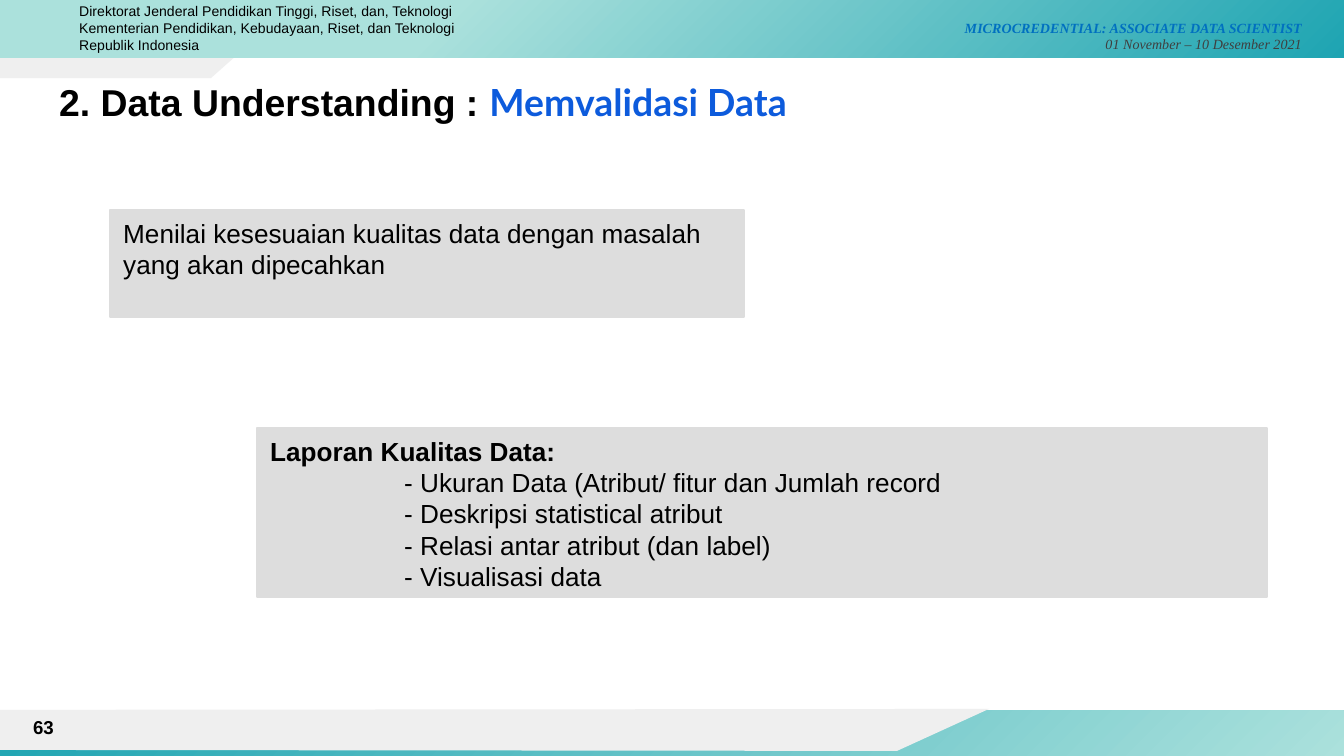
from dataclasses import dataclass

from pptx import Presentation
from pptx.dml.color import RGBColor
from pptx.enum.shapes import MSO_SHAPE as Shape
from pptx.enum.text import MSO_ANCHOR as Anchor, PP_ALIGN as Align
from pptx.util import Pt

EMU_PER_PX = 914400 / 134.4
AQUA, TEAL = "ABE1DC", "1EA4B2"
PALE_GRAY, PANEL_GRAY = "EFEFEF", "DDDDDD"
BLACK = "000000"


@dataclass(frozen=True)
class Box:
    left: int
    top: int
    width: int
    height: int


@dataclass(frozen=True)
class Run:
    text: str
    size: float
    color: str = BLACK
    font: str = "Arial"
    bold: bool = False
    italic: bool = False


@dataclass(frozen=True)
class Line:
    runs: tuple[Run, ...]
    indent: int = 0


@dataclass(frozen=True)
class Band:
    box: Box
    stops: tuple[tuple[float, str], ...]


@dataclass(frozen=True)
class TextBlock:
    box: Box
    lines: tuple[Line, ...]
    align: Align = Align.LEFT
    anchor: Anchor = Anchor.TOP
    top_inset: int = 7
    fill: str | None = None


def px(value: int) -> int:
    return round(value * EMU_PER_PX)


def rgb(color: str) -> RGBColor:
    return RGBColor.from_string(color)


def place(box: Box) -> tuple[int, ...]:
    return tuple(px(value) for value in (box.left, box.top, box.width, box.height))


def draw_band(slide, band: Band) -> None:
    shape = slide.shapes.add_shape(Shape.RECTANGLE, *place(band.box))
    shape.shadow.inherit = False
    shape.line.fill.background()
    shape.fill.gradient()
    shape.fill.gradient_angle = 315
    for stop, (position, color) in zip(shape.fill.gradient_stops, band.stops):
        stop.position = position
        stop.color.rgb = rgb(color)


def draw_tab(slide, points: list[tuple[int, int]]) -> None:
    """Draw a pale gray slanted outline through the given points."""
    builder = slide.shapes.build_freeform(*points[0], scale=EMU_PER_PX)
    builder.add_line_segments(points[1:], close=True)
    shape = builder.convert_to_shape()
    shape.shadow.inherit = False
    shape.fill.solid()
    shape.fill.fore_color.rgb = rgb(PALE_GRAY)
    shape.line.fill.background()


def write_line(paragraph, line: Line, align: Align) -> None:
    paragraph.alignment = align
    if line.indent:
        paragraph._p.get_or_add_pPr().set("marL", str(px(line.indent)))
    for part in line.runs:
        run = paragraph.add_run()
        run.text = part.text
        font = run.font
        font.name, font.size = part.font, Pt(part.size)
        font.bold, font.italic = part.bold, part.italic
        font.color.rgb = rgb(part.color)


def draw_text(slide, block: TextBlock) -> None:
    if block.fill:
        shape = slide.shapes.add_shape(Shape.RECTANGLE, *place(block.box))
        shape.shadow.inherit = False
        shape.fill.solid()
        shape.fill.fore_color.rgb = rgb(block.fill)
        shape.line.color.rgb = rgb(block.fill)
        shape.line.width = Pt(0.75)
    else:
        shape = slide.shapes.add_textbox(*place(block.box))
    frame = shape.text_frame
    frame.word_wrap = True
    frame.vertical_anchor = block.anchor
    frame.margin_top = px(block.top_inset)
    for index, line in enumerate(block.lines):
        paragraph = frame.add_paragraph() if index else frame.paragraphs[0]
        write_line(paragraph, line, block.align)


FOOTER_BAND = Band(Box(0, 711, 1344, 45), ((0, TEAL), (1, AQUA)))
HEADER_BAND = Band(Box(0, 0, 1344, 58), ((0.33, AQUA), (1, TEAL)))
HEADER_TAB = [(246, 47), (0, 44), (0, 78), (211, 78)]
FOOTER_TAB = [(989, 709), (0, 710), (0, 750), (897, 751)]

MINISTRY = (
    "Direktorat Jenderal Pendidikan Tinggi, Riset, dan, Teknologi",
    "Kementerian Pendidikan, Kebudayaan, Riset, dan Teknologi Republik Indonesia",
)
REPORT_ITEMS = (
    "- Ukuran Data (Atribut/ fitur dan Jumlah record",
    "- Deskripsi statistical atribut",
    "- Relasi antar atribut (dan label)",
    "- Visualisasi data",
)
SERIF = "Times New Roman"

TEXT_BLOCKS = (
    TextBlock(Box(800, 7, 515, 52), (
        Line((Run("MICROCREDENTIAL: ASSOCIATE DATA SCIENTIST", 7.5, "0070C0", SERIF, True, True),)),
        Line((Run("01 November – 10 Desember 2021", 7.5, "3F3F3F", SERIF, italic=True),)),
    ), align=Align.RIGHT, top_inset=12),
    TextBlock(Box(66, -4, 448, 64), tuple(Line((Run(text, 7.5),)) for text in MINISTRY)),
    TextBlock(Box(46, 66, 1252, 83), (
        Line((Run("2. Data Understanding : ", 20, bold=True),
              Run("Memvalidasi Data", 20, "0D5BDC", "Lato", True))),
    ), top_inset=13),
    TextBlock(Box(110, 210, 634, 107), (
        Line((Run("Menilai kesesuaian kualitas data dengan masalah yang akan dipecahkan", 14),)),
    ), fill=PANEL_GRAY),
    TextBlock(Box(257, 428, 1010, 169), (
        Line((Run("Laporan Kualitas Data:", 14, bold=True),)),
        *(Line((Run(item, 14),), indent=134) for item in REPORT_ITEMS),
    ), fill=PANEL_GRAY),
    TextBlock(Box(0, 707, 67, 40), (Line((Run("63", 10, bold=True),)),),
              align=Align.RIGHT, anchor=Anchor.MIDDLE),
)


def main() -> None:
    presentation = Presentation()
    presentation.slide_width, presentation.slide_height = px(1344), px(756)
    slide = presentation.slides.add_slide(presentation.slide_layouts[6])
    draw_tab(slide, HEADER_TAB)
    draw_band(slide, FOOTER_BAND)
    draw_tab(slide, FOOTER_TAB)
    draw_band(slide, HEADER_BAND)
    for block in TEXT_BLOCKS:
        draw_text(slide, block)
    presentation.save("out.pptx")


if __name__ == "__main__":
    main()
